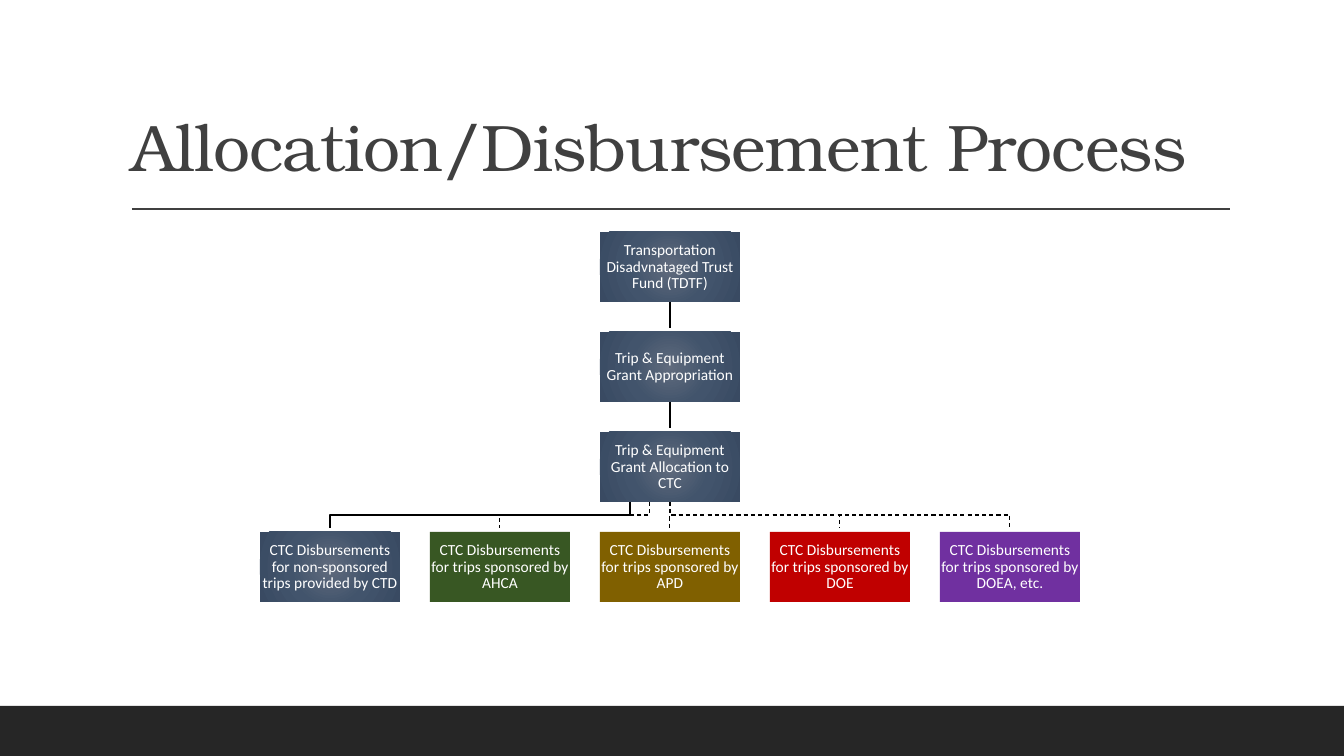
from lxml.etree import SubElement
from pptx import Presentation
from pptx.dml.color import RGBColor
from pptx.enum.dml import MSO_LINE
from pptx.enum.shapes import MSO_CONNECTOR, MSO_SHAPE
from pptx.enum.text import MSO_ANCHOR, MSO_AUTO_SIZE, PP_ALIGN
from pptx.oxml import parse_xml
from pptx.oxml.ns import nsdecls, qn
from pptx.util import Emu, Pt

TITLE = "Allocation/Disbursement Process"
FUNDING = [
    "Transportation Disadvnataged Trust Fund (TDTF)",
    "Trip & Equipment Grant Appropriation",
    "Trip & Equipment Grant Allocation to CTC",
]
# text, fill (None: slate gradient), x where its branch leaves the allocation box
DISBURSEMENTS = [
    ("CTC Disbursements for non-sponsored trips provided by CTD", None, 630),
    ("CTC Disbursements for trips sponsored by AHCA", "385723", 650),
    ("CTC Disbursements for trips sponsored by APD", "806000", 670),
    ("CTC Disbursements for trips sponsored by DOE", "C00000", 670),
    ("CTC Disbursements for trips sponsored by DOEA, etc.", "7030A0", 670),
]
SLATE = [(0, "606B7D"), (50, "42546C"), (100, "394A62")]

PX = 914400 / 100.8
SLIDE_W, SLIDE_H = 1344, 756
BOX_W, BOX_H = 140, 70
CENTER_X, TOP = 670, 232
COLUMN_STEP, ROW_STEP = 170, 100
BEND, TIP_GAP = 13, 4


def px(length):
    return Emu(round(length * PX))


def color(hex_code):
    return RGBColor.from_string(hex_code)


def add_rect(x, y, w, h, fill):
    rect = slide.shapes.add_shape(MSO_SHAPE.RECTANGLE, px(x), px(y), px(w), px(h))
    rect.shadow.inherit = False
    rect.line.fill.background()
    if fill:
        rect.fill.solid()
        rect.fill.fore_color.rgb = color(fill)
    else:
        stops = "".join(
            f'<a:gs pos="{pos * 1000}"><a:srgbClr val="{code}"/></a:gs>'
            for pos, code in SLATE)
        rect.fill.background()
        no_fill = rect._element.spPr.find(qn("a:noFill"))
        no_fill.getparent().replace(no_fill, parse_xml(
            f'<a:gradFill {nsdecls("a")} rotWithShape="1"><a:gsLst>{stops}</a:gsLst>'
            '<a:path path="circle"><a:fillToRect l="50000" t="50000" r="50000" '
            'b="50000"/></a:path></a:gradFill>'))
    return rect


def add_box(center_x, y, text, fill=None):
    frame = add_rect(center_x - BOX_W / 2, y, BOX_W, BOX_H, fill).text_frame
    frame.word_wrap = True
    frame.vertical_anchor = MSO_ANCHOR.MIDDLE
    frame.margin_left = frame.margin_right = px(1)
    frame.margin_top = frame.margin_bottom = px(1)
    frame.text = text
    label = frame.paragraphs[0]
    label.alignment = PP_ALIGN.CENTER
    label.line_spacing = 0.9
    label.font.size = Pt(11)
    label.font.name = "Calibri"
    label.font.color.rgb = color("FFFFFF")


def add_link(x1, y1, x2, y2, width=1.5, dashed=False, ink="000000"):
    """Draw a straight line, or one with a bend when a downward link shifts sideways."""
    if x1 == x2 or y1 == y2:
        link = slide.shapes.add_connector(
            MSO_CONNECTOR.STRAIGHT, px(x1), px(y1), px(x2), px(y2))
        SubElement(link._element.spPr, qn("a:effectLst"))
    else:
        outline = slide.shapes.build_freeform(x1, y1, scale=PX)
        bend_y = y1 + BEND
        outline.add_line_segments([(x1, bend_y), (x2, bend_y), (x2, y2)], close=False)
        link = outline.convert_to_shape()
        link.fill.background()
        link.shadow.inherit = False
    link.line.color.rgb = color(ink)
    link.line.width = Pt(width)
    if dashed:
        link.line.dash_style = MSO_LINE.DASH


prs = Presentation()
prs.slide_width, prs.slide_height = px(SLIDE_W), px(SLIDE_H)
slide = prs.slides.add_slide(prs.slide_layouts[5])

add_rect(0, 706, SLIDE_W, 50, "262626")
add_link(132, 209, 1230, 209, width=1, ink="404040")

title = slide.shapes.title
title.left, title.top, title.width, title.height = px(121), px(31), px(1109), px(160)
title.text_frame.text = TITLE
title.text_frame.word_wrap = True
title.text_frame.auto_size = MSO_AUTO_SIZE.NONE
title.text_frame.vertical_anchor = MSO_ANCHOR.BOTTOM
heading = title.text_frame.paragraphs[0]
heading.alignment = PP_ALIGN.LEFT
heading.line_spacing = 0.9
heading.font.size = Pt(47)
heading.font.name = "TeX Gyre Bonum"
heading.font.color.rgb = color("404040")
heading.runs[0].font._element.set("spc", "-50")

for row, step in enumerate(FUNDING):
    y = TOP + row * ROW_STEP
    if row:
        add_link(CENTER_X, y - ROW_STEP + BOX_H, CENTER_X, y - TIP_GAP)
    add_box(CENTER_X, y, step)

y = TOP + len(FUNDING) * ROW_STEP
for column, (text, fill, branch_x) in enumerate(DISBURSEMENTS):
    x = CENTER_X + (column - len(DISBURSEMENTS) // 2) * COLUMN_STEP
    sponsored = fill is not None
    add_link(branch_x, y - ROW_STEP + BOX_H, x, y - TIP_GAP,
             width=0.75 if sponsored else 1.5, dashed=sponsored)
    add_box(x, y, text, fill)

prs.save("out.pptx")
